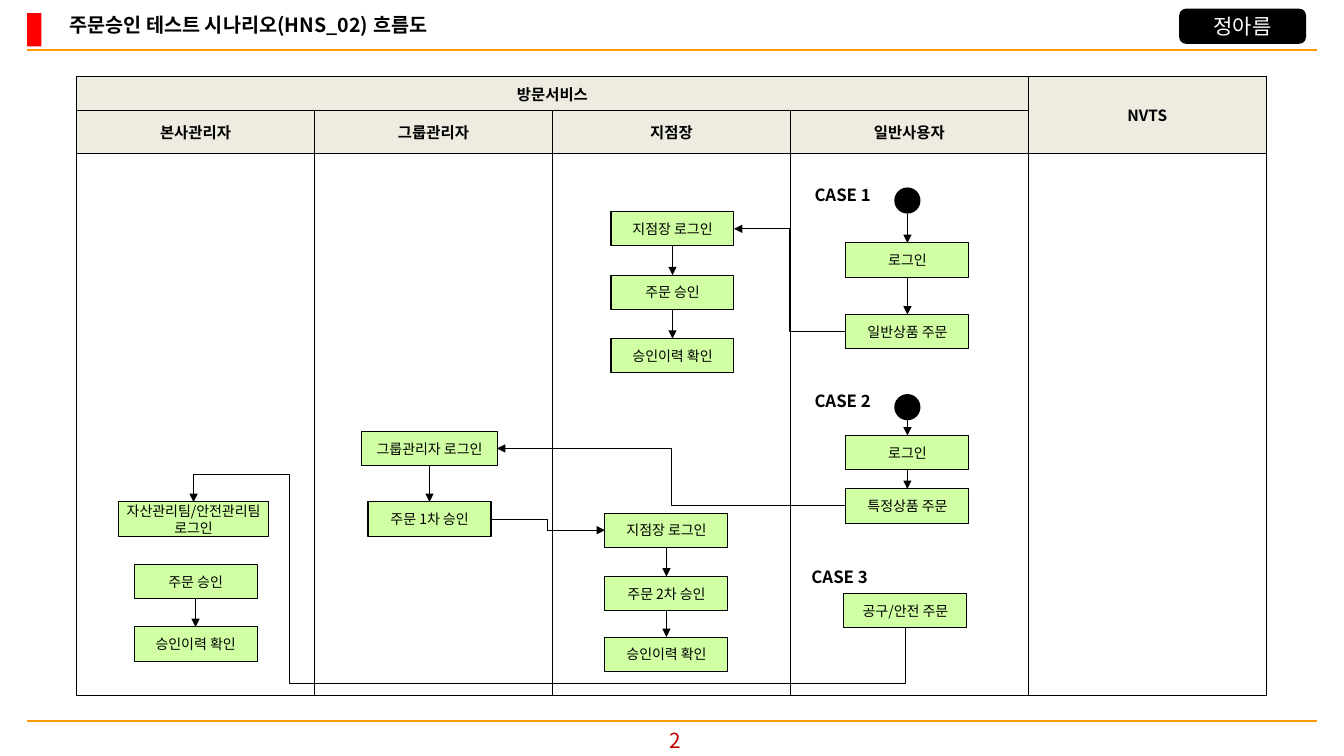
from dataclasses import dataclass

from lxml.etree import SubElement
from pptx import Presentation
from pptx.dml.color import RGBColor
from pptx.enum.shapes import MSO_CONNECTOR, MSO_SHAPE
from pptx.enum.text import MSO_ANCHOR, PP_ALIGN
from pptx.oxml.ns import qn
from pptx.util import Inches, Pt


@dataclass(frozen=True)
class Theme:
    font: str = "Noto Sans CJK KR"
    ink: str = "000000"
    paper: str = "FFFFFF"
    rule: str = "FF9900"
    mark: str = "FF0000"
    page: str = "C00000"
    head: str = "EEECE1"
    node: str = "D1FFA3"
    title_pt: float = 14
    badge_pt: float = 15
    page_pt: float = 14.8
    case_pt: float = 12
    head_pt: float = 11
    node_pt: float = 10
    thin: float = 0.75
    border: float = 1


THEME = Theme()
TITLE = "주문승인 테스트 시나리오(HNS_02) 흐름도"
AUTHOR = "정아름"
PAGE = "2"
GROUP = "방문서비스"
PARTNER = "NVTS"
ROLES = ["본사관리자", "그룹관리자", "지점장", "일반사용자"]
ROWS = [0.34, 0.42, 5.38]
COL = 2.36
NODE_W, NODE_H, DOT = 1.22, 0.34, 0.26

# Each stack: centre x, then steps as (key, top, text)
STACKS = [
    (9.0, [("login1", 2.41, "로그인"), ("order1", 3.12, "일반상품 주문")]),
    (6.67, [("chief1", 2.1, "지점장 로그인"), ("grant1", 2.73, "주문 승인"),
            ("check1", 3.36, "승인이력 확인")]),
    (9.0, [("login2", 4.32, "로그인"), ("order2", 4.85, "특정상품 주문")]),
    (4.26, [("lead2", 4.28, "그룹관리자 로그인"), ("first2", 4.98, "주문 1차 승인")]),
    (6.61, [("chief2", 5.09, "지점장 로그인"), ("second2", 5.72, "주문 2차 승인"),
            ("check2", 6.32, "승인이력 확인")]),
    (8.98, [("order3", 5.89, "공구/안전 주문")]),
    (1.92, [("team3", 4.98, "자산관리팀/안전관리팀\n로그인")]),
    (1.94, [("grant3", 5.6, "주문 승인"), ("check3", 6.22, "승인이력 확인")]),
]
WIDE = {"lead2": 1.34, "team3": 1.49}
ELBOWS = [("order1", 1, "chief1", 3), ("order2", 1, "lead2", 3),
          ("first2", 3, "chief2", 1)]
STARTS = [("login1", 1.86), ("login2", 3.91)]
CASES = [("CASE 1", 7.98, 1.78), ("CASE 2", 7.98, 3.83), ("CASE 3", 7.95, 5.57)]
DETOUR = [(8.98, 6.23), (8.98, 6.78), (2.87, 6.78), (2.87, 4.71),
          (1.92, 4.71), (1.92, 4.98)]


def rgb(color):
    return RGBColor.from_string(color)


def write(frame, text, size, color=THEME.ink, bold=False,
          align=PP_ALIGN.CENTER, anchor=MSO_ANCHOR.MIDDLE, wrap=True):
    frame.text = text
    frame.word_wrap = wrap
    frame.vertical_anchor = anchor
    for para in frame.paragraphs:
        para.alignment = align
        for run in para.runs:
            font = run.font
            font.size, font.bold = Pt(size), bold
            font.color.rgb = rgb(color)
            font.name = THEME.font
            SubElement(run._r.get_or_add_rPr(), qn("a:ea"), typeface=THEME.font)


def add_box(slide, kind, left, top, width, height, fill, line=None):
    box = slide.shapes.add_shape(kind, Inches(left), Inches(top),
                                 Inches(width), Inches(height))
    box.shadow.inherit = False
    box.fill.solid()
    box.fill.fore_color.rgb = rgb(fill)
    if line:
        box.line.color.rgb = rgb(THEME.ink)
        box.line.width = Pt(line)
    else:
        box.line.fill.background()
    return box


def add_text(slide, text, left, top, width, height, **style):
    box = slide.shapes.add_textbox(Inches(left), Inches(top),
                                   Inches(width), Inches(height))
    write(box.text_frame, text, **style)


def add_line(slide, start, end, kind=MSO_CONNECTOR.STRAIGHT,
             color=THEME.ink, width=THEME.thin):
    line = slide.shapes.add_connector(kind, *map(Inches, start + end))
    line.line.color.rgb = rgb(color)
    line.line.width = Pt(width)
    SubElement(line._element.spPr, qn("a:effectLst"))
    return line


def add_head(line):
    SubElement(line.line._get_or_add_ln(), qn("a:tailEnd"), type="triangle")


def join(slide, tail, out, tip, into, kind=MSO_CONNECTOR.STRAIGHT):
    line = add_line(slide, (0, 0), (1, 1), kind)
    line.begin_connect(tail, out)
    line.end_connect(tip, into)
    add_head(line)


def add_frame(slide):
    for y in (0.5, 7.15):
        add_line(slide, (0.27, y), (13.06, y), color=THEME.rule, width=1.5)
    add_box(slide, MSO_SHAPE.RECTANGLE, 0.27, 0.13, 0.14, 0.33, THEME.mark)
    title = slide.shapes.title
    title.left, title.top = Inches(0.59), Inches(0.08)
    title.width, title.height = Inches(5.13), Inches(0.34)
    write(title.text_frame, TITLE, THEME.title_pt, bold=True,
          align=PP_ALIGN.LEFT, anchor=MSO_ANCHOR.TOP)
    badge = add_box(slide, MSO_SHAPE.ROUNDED_RECTANGLE,
                    11.71, 0.1, 1.23, 0.32, THEME.ink, 2)
    write(badge.text_frame, AUTHOR, THEME.badge_pt, THEME.paper)
    add_text(slide, PAGE, 6.18, 7.16, 1.03, 0.37,
             size=THEME.page_pt, color=THEME.page)


def style_cell(cell, fill):
    props = cell._tc.get_or_add_tcPr()
    for side in ("lnL", "lnR", "lnT", "lnB"):
        edge = SubElement(props, qn(f"a:{side}"), w=str(Pt(THEME.border)))
        paint = SubElement(edge, qn("a:solidFill"))
        SubElement(paint, qn("a:srgbClr"), val=THEME.ink)
    cell.fill.solid()
    cell.fill.fore_color.rgb = rgb(fill)


def add_lanes(slide):
    count = len(ROLES) + 1
    table = slide.shapes.add_table(len(ROWS), count, Inches(0.76), Inches(0.76),
                                   Inches(COL * count), Inches(sum(ROWS))).table
    table.first_row = table.horz_banding = False
    for col in table.columns:
        col.width = Inches(COL)
    for r, height in enumerate(ROWS):
        table.rows[r].height = Inches(height)
        for c in range(count):
            style_cell(table.cell(r, c), THEME.head if r < 2 else THEME.paper)
    last = count - 1
    table.cell(0, 0).merge(table.cell(0, last - 1))
    table.cell(0, last).merge(table.cell(1, last))
    heads = [(0, 0, GROUP), (0, last, PARTNER)]
    heads += [(1, c, role) for c, role in enumerate(ROLES)]
    for r, c, text in heads:
        cell = table.cell(r, c)
        cell.vertical_anchor = MSO_ANCHOR.MIDDLE
        write(cell.text_frame, text, THEME.head_pt, bold=True)


def add_flow(slide):
    nodes = {}
    for mid, steps in STACKS:
        prev = None
        for key, top, text in steps:
            width = WIDE.get(key, NODE_W)
            node = add_box(slide, MSO_SHAPE.RECTANGLE, mid - width / 2, top,
                           width, NODE_H, THEME.node, THEME.thin)
            write(node.text_frame, text, THEME.node_pt, wrap=False)
            if prev:
                join(slide, prev, 2, node, 0)
            nodes[key] = prev = node
    for tail, out, tip, into in ELBOWS:
        join(slide, nodes[tail], out, nodes[tip], into, MSO_CONNECTOR.ELBOW)
    for key, top in STARTS:
        add_box(slide, MSO_SHAPE.FLOWCHART_CONNECTOR, 9 - DOT / 2, top,
                DOT, DOT, THEME.ink)
        line = add_line(slide, (9, top + DOT), (9, top + 1))
        line.end_connect(nodes[key], 0)
        add_head(line)
    for text, left, top in CASES:
        add_text(slide, text, left, top, 0.79, 0.3, size=THEME.case_pt, bold=True,
                 align=PP_ALIGN.LEFT, anchor=MSO_ANCHOR.TOP, wrap=False)


def add_detour(slide):
    """Draw the five-part arrow from the case 3 order to the head office."""
    points = [(Inches(x), Inches(y)) for x, y in DETOUR]
    pen = slide.shapes.build_freeform(*points[0])
    pen.add_line_segments(points[1:], close=False)
    route = pen.convert_to_shape()
    route.shadow.inherit = False
    route.fill.background()
    route.line.color.rgb = rgb(THEME.ink)
    route.line.width = Pt(THEME.thin)
    add_head(route)


def main():
    deck = Presentation()
    deck.slide_width, deck.slide_height = Inches(13.33), Inches(7.5)
    slide = deck.slides.add_slide(deck.slide_layouts[5])
    add_frame(slide)
    add_lanes(slide)
    add_flow(slide)
    add_detour(slide)
    deck.save("out.pptx")


if __name__ == "__main__":
    main()
